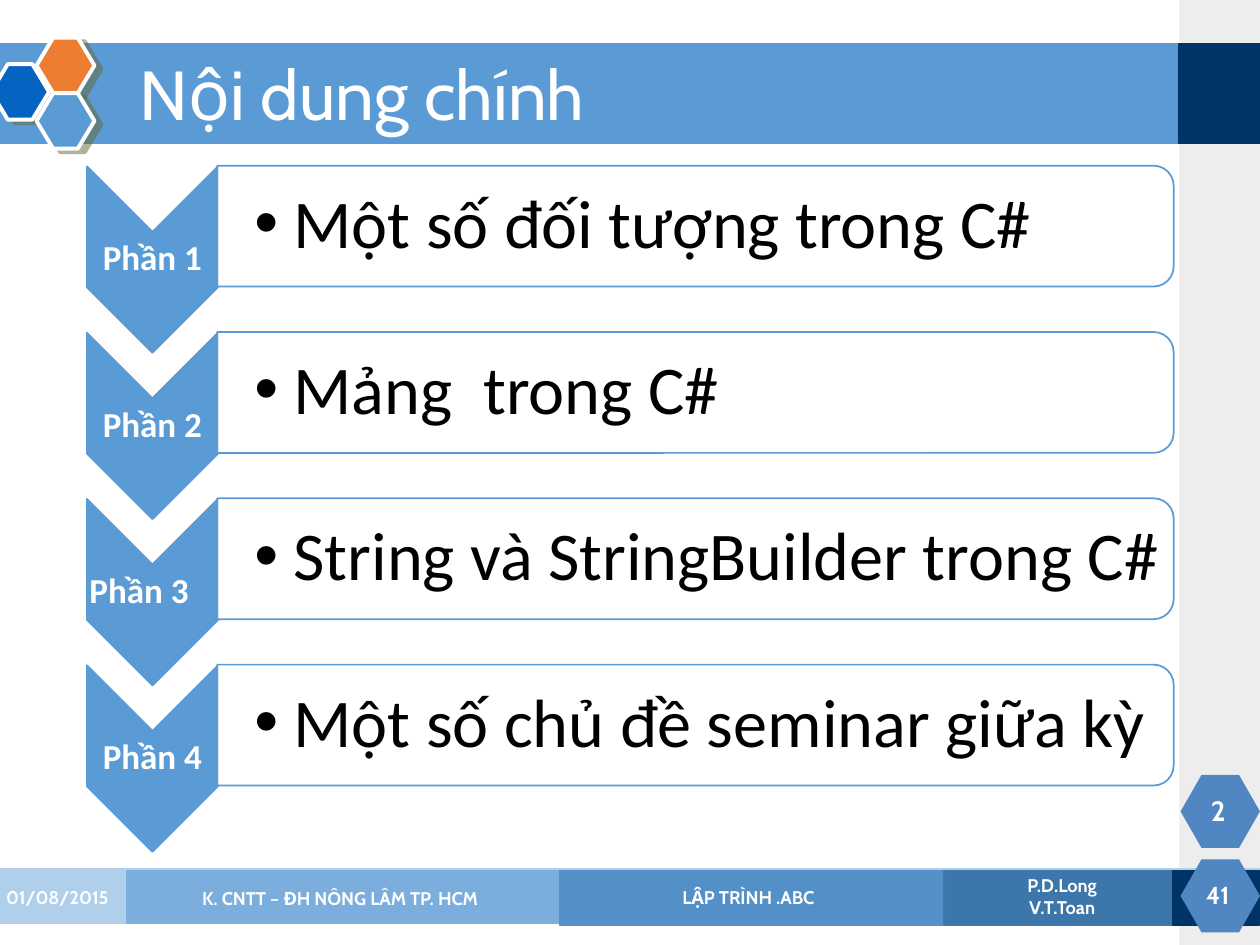
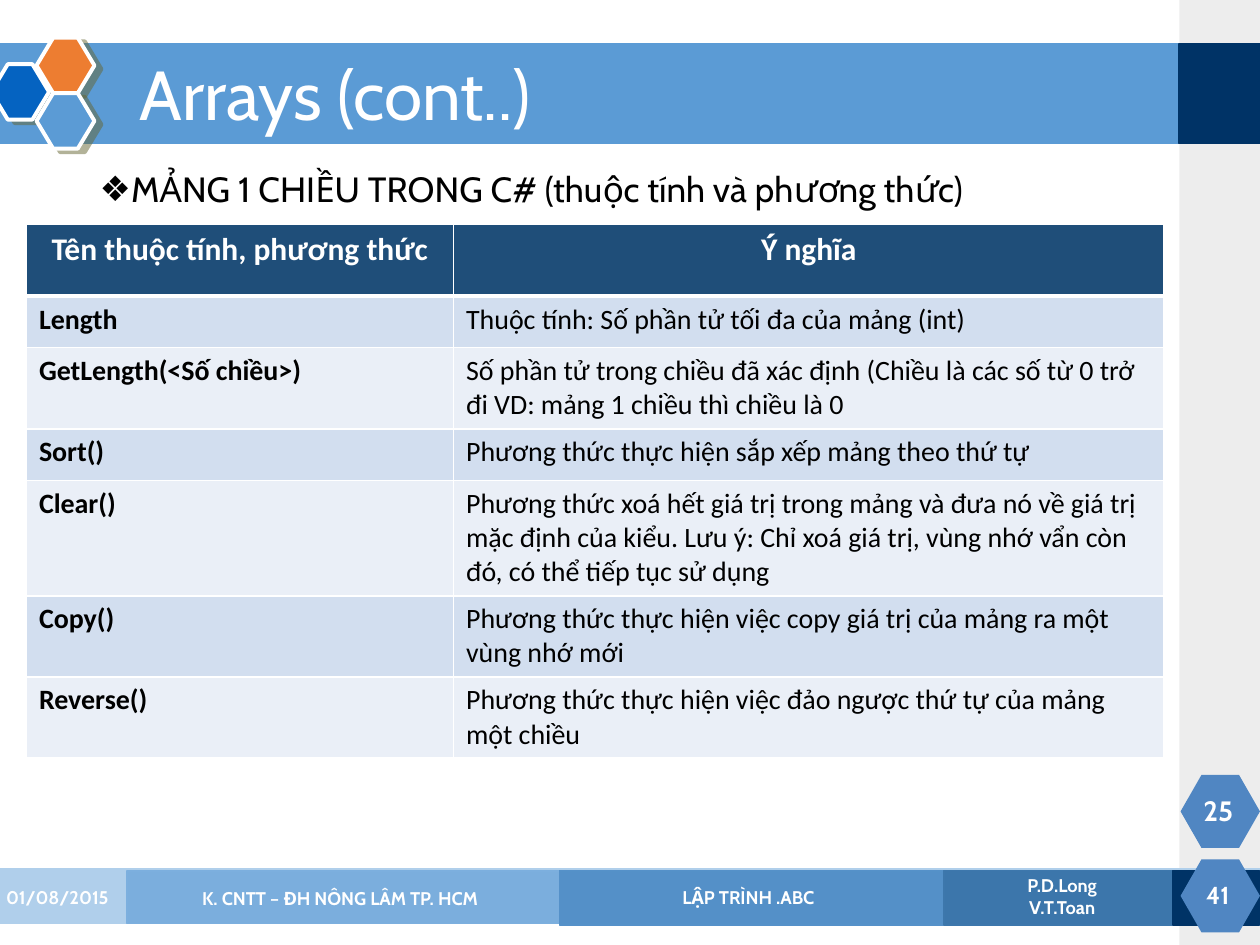
from dataclasses import dataclass

from lxml import etree
from pptx import Presentation
from pptx.dml.color import RGBColor
from pptx.enum.shapes import MSO_SHAPE
from pptx.enum.text import MSO_ANCHOR, MSO_AUTO_SIZE, PP_ALIGN
from pptx.oxml.ns import qn
from pptx.util import Inches, Pt

RECTANGLE = MSO_SHAPE.RECTANGLE
HEXAGON = MSO_SHAPE.HEXAGON
CHEVRON = MSO_SHAPE.CHEVRON
ROUND_TOP = MSO_SHAPE.ROUND_2_SAME_RECTANGLE
LEFT, CENTER = PP_ALIGN.LEFT, PP_ALIGN.CENTER
TOP, MIDDLE = MSO_ANCHOR.TOP, MSO_ANCHOR.MIDDLE
NO_AUTOFIT = MSO_AUTO_SIZE.NONE

TITLE_ONLY, TITLE_AND_BODY = 5, 1
HEADING_FONT, BODY_FONT = "Cabin", "Calibri"
COLORS = {
    "white": "FFFFFF", "black": "000000", "gray": "A7A7A7", "shadow": "666633",
    "blue": "5B9BD5", "navy": "003366", "link": "0563C1", "orange": "ED7D31",
    "badge": "5086C2", "table_head": "1F4E79",
    "row_dark": "D2DEEF", "row_light": "EAEFF7",
    "foot_1": "7CAFDE", "foot_2": "478FD1", "foot_3": "2E74B4", "foot_4": "255D8F",
    "edge_1": "B0CFEB", "edge_2": "7CAFDE", "edge_3": "5591C9", "edge_4": "3D77AC",
}


@dataclass(frozen=True)
class Area:
    left: float
    top: float
    width: float
    height: float

    def lengths(self) -> tuple:
        return tuple(Inches(v) for v in (self.left, self.top, self.width, self.height))


@dataclass(frozen=True)
class Block:
    """A filled preset shape; opacity is in percent."""
    area: Area
    fill: str
    line: str | None = None
    kind: int = RECTANGLE
    line_width: float = 1
    opacity: int = 100
    adjustment: float | None = None
    rotation: int = 0
    shadowed: bool = False


@dataclass(frozen=True)
class Label:
    area: Area
    text: str
    size: float = 10.5
    align: int = CENTER
    anchor: int = MIDDLE


LOGO_STYLE = dict(line="white", line_width=2.25, kind=HEXAGON, adjustment=0.3, shadowed=True)
BADGE_STYLE = dict(kind=HEXAGON, adjustment=0.286)
FRAME_BLOCKS = [
    Block(Area(9.36, 0, 0.64, 7.51), "gray", opacity=20),
    Block(Area(-0.02, 6.9, 10.02, 0.43), "foot_1", "edge_1", opacity=60),
    Block(Area(1.01, 6.91, 8.97, 0.42), "foot_2", "edge_2", opacity=50),
    Block(Area(4.44, 6.91, 5.56, 0.43), "foot_3", "edge_3", opacity=50),
    Block(Area(7.49, 6.91, 2.5, 0.43), "foot_4", "edge_4", opacity=50),
    Block(Area(-0.02, 0.35, 9.38, 0.79), "blue", "blue"),
    Block(Area(9.36, 0.35, 0.64, 0.79), "navy", "navy"),
    Block(Area(-0.07, 0.51, 0.46, 0.44), "link", **LOGO_STYLE),
    Block(Area(0.29, 0.3, 0.46, 0.44), "orange", **LOGO_STYLE),
    Block(Area(0.29, 0.74, 0.46, 0.44), "blue", **LOGO_STYLE),
    Block(Area(9.31, 6.91, 0.68, 0.43), "navy", "navy"),
    Block(Area(9.37, 6.82, 0.63, 0.58), "badge", **BADGE_STYLE),
    Block(Area(9.37, 6.15, 0.63, 0.58), "badge", **BADGE_STYLE),
]
FRAME_LABELS = [
    Label(Area(9.44, 6.9, 0.45, 0.4), "41", 14),
    Label(Area(7.55, 6.91, 1.76, 0.4), "P.D.Long\nV.T.Toan"),
    Label(Area(4.46, 6.98, 2.96, 0.28), "LẬP TRÌNH .ABC", anchor=TOP),
    Label(Area(-0.05, 6.92, 1.1, 0.4), "01/08/2015", align=LEFT),
    Label(Area(1.01, 6.93, 3.38, 0.4), "K. CNTT – ĐH NÔNG LÂM TP. HCM"),
]
TITLE_AREA = Area(1.01, 0.4, 8.3, 0.75)
BODY_AREA = Area(0.69, 1.32, 8.62, 5.44)
NUMBER_AREA = Area(9.37, 6.23, 0.6, 0.4)

PARTS = [
    ("Phần 1", "Một số đối tượng trong C#"),
    ("Phần 2", "Mảng  trong C#"),
    ("Phần 3\t", "String và StringBuilder trong C#"),
    ("Phần 4", "Một số chủ đề seminar giữa kỳ"),
]
PART_STEP = 1.32

ARRAY_MEMBERS = [
    ("Tên thuộc tính, phương thức", "Ý nghĩa"),
    ("Length", "Thuộc tính: Số phần tử tối đa của mảng (int)"),
    ("GetLength(<Số chiều>)", "Số phần tử trong chiều đã xác định (Chiều là các số từ 0 trở "
     "đi VD: mảng 1 chiều thì chiều là 0"),
    ("Sort()", "Phương thức thực hiện sắp xếp mảng theo thứ tự"),
    ("Clear()", "Phương thức xoá hết giá trị trong mảng và đưa nó về giá trị mặc định của kiểu. "
     "Lưu ý: Chỉ xoá giá trị, vùng nhớ vẩn còn đó, có thể tiếp tục sử dụng"),
    ("Copy()", "Phương thức thực hiện việc copy giá trị của mảng ra một vùng nhớ mới"),
    ("Reverse()", "Phương thức thực hiện việc đảo ngược thứ tự của mảng một chiều"),
]
COLUMN_WIDTHS = (3.39, 5.64)
HEAD_HEIGHT, ROW_HEIGHT = 0.57, 0.41


def rgb(name: str) -> RGBColor:
    return RGBColor.from_string(COLORS[name])


def add_color(parent, name: str, opacity: int = 100) -> None:
    color = etree.SubElement(parent, qn("a:srgbClr"), val=COLORS[name])
    if opacity < 100:
        etree.SubElement(color, qn("a:alpha"), val=str(opacity * 1000))


def write_text(frame, text: str, *, size: float, font: str = HEADING_FONT,
               color: str = "white", bold: bool = False, align: int = LEFT,
               line_spacing: float | None = None, space_before: float = 0,
               bullet: str | None = None, hanging: float = 0) -> None:
    """Fill a text frame, one paragraph for each line of text."""
    for index, line in enumerate(text.split("\n")):
        para = frame.paragraphs[0] if index == 0 else frame.add_paragraph()
        para.alignment = align
        para.line_spacing = line_spacing
        para.space_before = Pt(space_before)
        if bullet:
            properties = para._p.get_or_add_pPr()
            properties.set("marL", str(Inches(hanging)))
            properties.set("indent", str(-Inches(hanging)))
            etree.SubElement(properties, qn("a:buFont"), typeface="Arial")
            etree.SubElement(properties, qn("a:buChar"), char=bullet)
        span = para.add_run()
        span.text = line
        span.font.size = Pt(size)
        span.font.name = font
        span.font.bold = bold
        span.font.color.rgb = rgb(color)


def set_frame(frame, anchor: int, inset: float | None = None,
              left_inset: float | None = None) -> None:
    frame.word_wrap = True
    frame.auto_size = NO_AUTOFIT
    frame.vertical_anchor = anchor
    if inset is not None:
        frame.margin_left = Inches(inset if left_inset is None else left_inset)
        frame.margin_top = frame.margin_right = frame.margin_bottom = Inches(inset)


def add_text(page, area: Area, text: str, *, anchor: int = MIDDLE, inset: float | None = None,
             left_inset: float | None = None, **text_format) -> None:
    frame = page.shapes.add_textbox(*area.lengths()).text_frame
    set_frame(frame, anchor, inset, left_inset)
    write_text(frame, text, **text_format)


def add_label(page, label: Label) -> None:
    add_text(page, label.area, label.text, anchor=label.anchor,
             size=label.size, bold=True, align=label.align)


def add_block(page, block: Block) -> None:
    shape = page.shapes.add_shape(block.kind, *block.area.lengths())
    shape.rotation = block.rotation
    if block.adjustment is not None:
        shape.adjustments[0] = block.adjustment
    shape.fill.solid()
    shape.fill.fore_color.rgb = rgb(block.fill)
    properties = shape.element.spPr
    if block.opacity < 100:
        color = properties.find(qn("a:solidFill"))[0]
        etree.SubElement(color, qn("a:alpha"), val=str(block.opacity * 1000))
    if block.line:
        shape.line.color.rgb = rgb(block.line)
        shape.line.width = Pt(block.line_width)
    else:
        shape.line.fill.background()
    shape.shadow.inherit = False
    if block.shadowed:
        shadow = etree.SubElement(properties.find(qn("a:effectLst")), qn("a:outerShdw"),
                                  dist=str(Pt(4.5)), dir=str(27 * 60000),
                                  algn="ctr", rotWithShape="0")
        add_color(shadow, "shadow", 50)


def fill_placeholder(page, box, area: Area, text: str, anchor: int, **text_format) -> None:
    """Place and fill a placeholder, in front of everything drawn so far."""
    box.left, box.top, box.width, box.height = area.lengths()
    set_frame(box.text_frame, anchor)
    write_text(box.text_frame, text, line_spacing=0.9, **text_format)
    page.shapes.element.append(box.element)


def add_page(deck, layout: int, title: str, number: int):
    page = deck.slides.add_slide(deck.slide_layouts[layout])
    for block in FRAME_BLOCKS:
        add_block(page, block)
    for label in FRAME_LABELS + [Label(NUMBER_AREA, str(number), 16)]:
        add_label(page, label)
    fill_placeholder(page, page.shapes.title, TITLE_AREA, title, MIDDLE, size=39.6)
    return page


def set_borders(cell, top: float, bottom: float) -> None:
    properties = cell._tc.get_or_add_tcPr()
    widths = {"lnL": 1, "lnR": 1, "lnT": top, "lnB": bottom}
    for position, (side, width) in enumerate(widths.items()):
        line = etree.Element(qn(f"a:{side}"), w=str(Pt(width)))
        add_color(etree.SubElement(line, qn("a:solidFill")), "white")
        properties.insert(position, line)


def add_part(page, index: int, name: str, topic: str) -> None:
    offset = index * PART_STEP
    add_block(page, Block(Area(0.47, 1.54 + offset, 1.48, 1.04), "blue", "blue",
                          CHEVRON, rotation=90))
    add_text(page, Area(0.69, 1.84 + offset, 1.04, 0.44), name, inset=0.01, size=20,
             font=BODY_FONT, bold=True, align=CENTER, line_spacing=0.9)
    add_block(page, Block(Area(5.04, -2 + offset, 0.96, 7.59), "white", "blue",
                          ROUND_TOP, opacity=90, rotation=90))
    add_text(page, Area(1.72, 1.36 + offset, 7.54, 0.87), topic, inset=0.03, left_inset=0.3,
             size=39, font=BODY_FONT, color="black", line_spacing=0.9,
             bullet="•", hanging=0.31)


def add_member_table(page) -> None:
    height = HEAD_HEIGHT + ROW_HEIGHT * (len(ARRAY_MEMBERS) - 1)
    area = Area(0.21, 1.78, sum(COLUMN_WIDTHS), height)
    table = page.shapes.add_table(len(ARRAY_MEMBERS), len(COLUMN_WIDTHS), *area.lengths()).table
    for column, width in zip(table.columns, COLUMN_WIDTHS):
        column.width = Inches(width)
    for row, texts in enumerate(ARRAY_MEMBERS):
        is_head = row == 0
        table.rows[row].height = Inches(HEAD_HEIGHT if is_head else ROW_HEIGHT)
        band = "table_head" if is_head else "row_dark" if row % 2 else "row_light"
        for column, text in enumerate(texts):
            cell = table.cell(row, column)
            cell.fill.solid()
            cell.fill.fore_color.rgb = rgb(band)
            set_borders(cell, top=3 if row == 1 else 1, bottom=3 if is_head else 1)
            write_text(cell.text_frame, text, size=18 if is_head else 16, font=BODY_FONT,
                       color="white" if is_head else "black", bold=is_head or column == 0,
                       align=CENTER if is_head else LEFT)


def build_contents(deck) -> None:
    page = add_page(deck, TITLE_ONLY, "Nội dung chính", 2)
    for index, (name, topic) in enumerate(PARTS):
        add_part(page, index, name, topic)


def build_arrays(deck) -> None:
    page = add_page(deck, TITLE_AND_BODY, "Arrays (cont..)", 25)
    fill_placeholder(page, page.placeholders[1], BODY_AREA,
                     "MẢNG 1 CHIỀU TRONG C# (thuộc tính và phương thức)", TOP, size=20,
                     color="black", space_before=10, bullet="❖", hanging=0.25)
    add_member_table(page)


def main() -> None:
    deck = Presentation()
    deck.slide_width, deck.slide_height = Inches(10), Inches(7.5)
    build_contents(deck)
    build_arrays(deck)
    deck.save("out.pptx")


if __name__ == "__main__":
    main()
